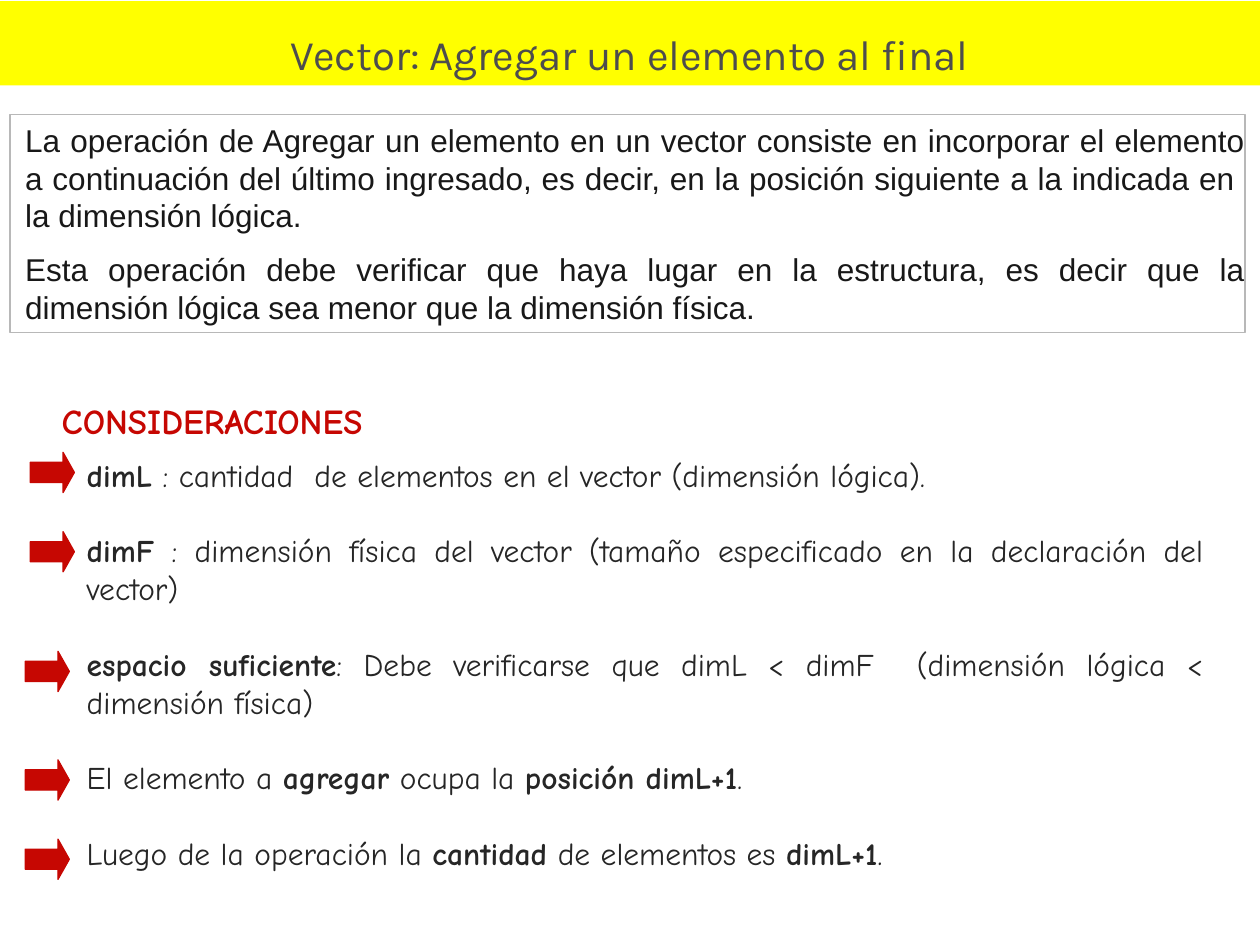
import pptx
import pptx.util
import pptx.dml.color
import pptx.enum.shapes
import pptx.enum.text

Pt = pptx.util.Pt
SHAPE = pptx.enum.shapes.MSO_SHAPE
ALIGN = pptx.enum.text.PP_ALIGN
ANCHOR = pptx.enum.text.MSO_ANCHOR

COLORS = {"band": "FFFF00", "title": "4D4D4D", "frame": "B8B8B8",
          "intro": "181818", "body": "262626", "accent": "C60702"}

TITLE = "Vector: Agregar un elemento al final"
INTRO = [
    "La operación de Agregar un elemento en un vector consiste en incorporar el elemento "
    "a continuación del último ingresado, es decir, en la posición siguiente a la indicada en  "
    "la dimensión lógica.",
    "Esta operación debe verificar que haya lugar en la estructura, es decir que la "
    "dimensión lógica sea menor que la dimensión física.",
]
HEADING = "**CONSIDERACIONES**"
POINTS = [
    "**dimL** : cantidad  de elementos en el vector (dimensión lógica).",
    "**dimF** : dimensión física del vector (tamaño especificado en la declaración del vector)",
    "**espacio suficiente**: Debe verificarse que dimL < dimF  (dimensión lógica < dimensión física)",
    "El elemento a **agregar** ocupa la **posición dimL+1**.",
    "Luego de la operación la **cantidad** de elementos es **dimL+1**.",
]
ARROWS = [(17.3, 258.5), (17.3, 303.8), (14.4, 372.2), (14.4, 434.2), (14.4, 479.5)]


def rgb(name):
    return pptx.dml.color.RGBColor.from_string(COLORS[name])


def add_shape(slide, kind, box, fill=None, line=None):
    sp = slide.shapes.add_shape(kind, *map(Pt, box))
    sp.shadow.inherit = False
    if fill:
        sp.fill.solid()
        sp.fill.fore_color.rgb = rgb(fill)
    else:
        sp.fill.background()
    if line:
        sp.line.color.rgb = rgb(line)
        sp.line.width = Pt(0.75)
    else:
        sp.line.fill.background()
    return sp


def add_text(sp, paragraphs, font, size, color, align=ALIGN.JUSTIFY, gap=0,
             anchor=ANCHOR.TOP, margins=(7.2, 7.2), wrap=True):
    tf = sp.text_frame
    tf.word_wrap = wrap
    tf.vertical_anchor = anchor
    tf.margin_left, tf.margin_right = map(Pt, margins)
    for i, text in enumerate(paragraphs):
        p = tf.add_paragraph() if i else tf.paragraphs[0]
        p.alignment = align
        if i:
            p.space_before = Pt(gap)
        for j, part in enumerate(text.split("**")):
            if part:
                r = p.add_run()
                r.text = part
                r.font.name = font
                r.font.size = Pt(size)
                r.font.bold = j % 2 == 1
                r.font.color.rgb = rgb(color)


def main():
    prs = pptx.Presentation()
    prs.slide_width, prs.slide_height = Pt(720), Pt(540)
    s = prs.slides.add_slide(prs.slide_layouts[6])

    body = s.shapes.add_textbox(Pt(42.5), Pt(257), Pt(652.3), Pt(244.8))
    add_text(body, POINTS, "Comic Neue", 18, "body", gap=21.6)

    band = add_shape(s, SHAPE.RECTANGLE, (0, 0.7, 720, 48.2), fill="band")
    add_text(band, [TITLE], "Karla", 24, "title", align=ALIGN.CENTER, anchor=ANCHOR.BOTTOM)

    frame = add_shape(s, SHAPE.RECTANGLE, (5.8, 65.5, 705.6, 124.6), line="frame")
    add_text(frame, INTRO, "Arial", 18, "intro", gap=9, margins=(8.6, 0))

    for left, top in ARROWS:
        arrow = add_shape(s, SHAPE.RIGHT_ARROW, (left, top, 25.2, 23), "accent", "accent")
        arrow.adjustments[1] = 0.28

    heading = s.shapes.add_textbox(Pt(28.2), Pt(224.6), Pt(200), Pt(31.7))
    add_text(heading, [HEADING], "Comic Neue", 20, "accent", align=ALIGN.LEFT, wrap=False)

    prs.save("out.pptx")


if __name__ == "__main__":
    main()
